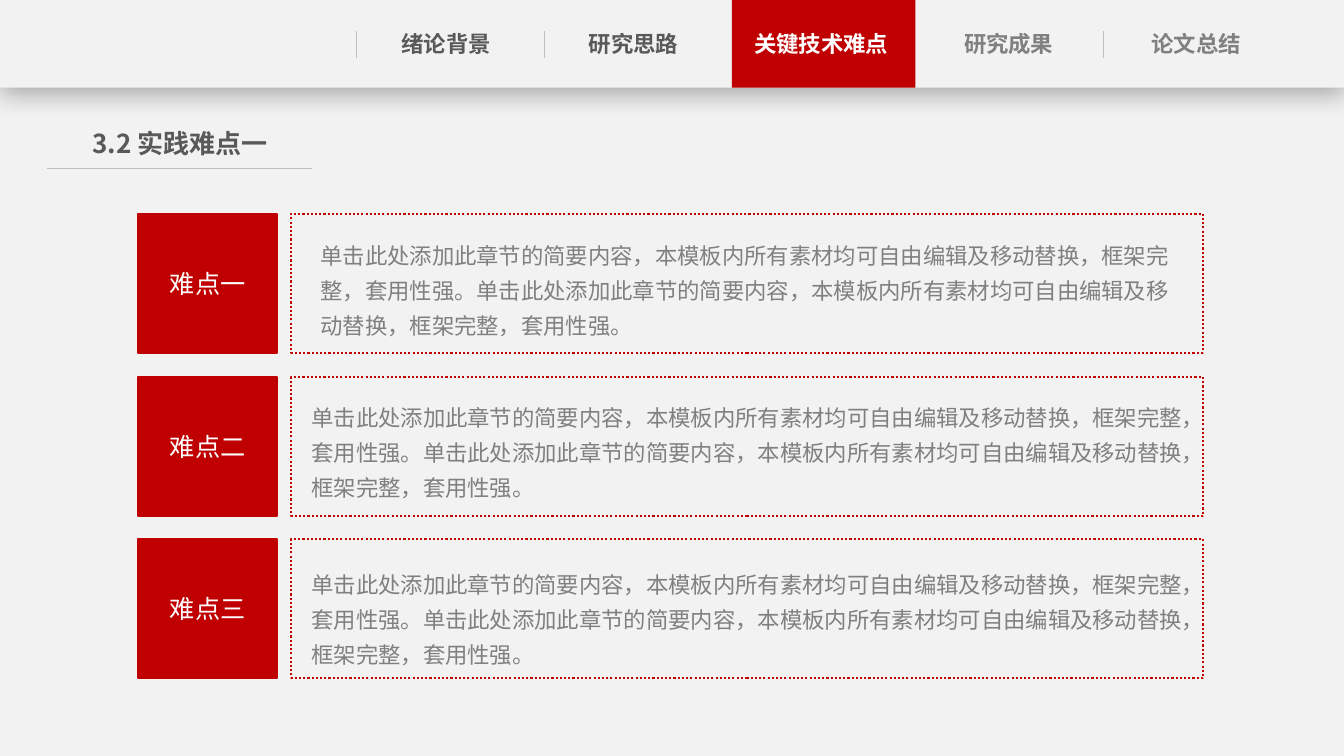
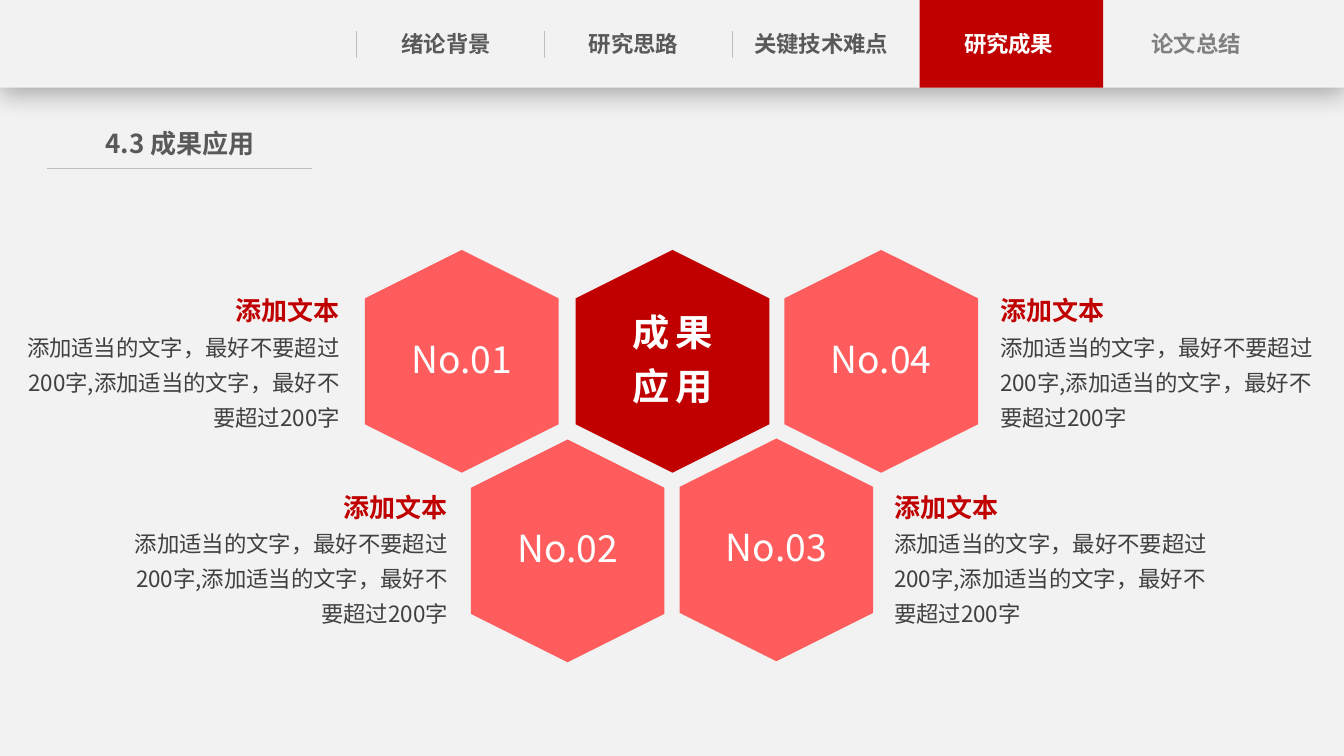
from lxml import etree
from pptx import Presentation
from pptx.dml.color import RGBColor
from pptx.enum.dml import MSO_LINE
from pptx.enum.shapes import MSO_CONNECTOR, MSO_SHAPE
from pptx.enum.text import MSO_ANCHOR, MSO_AUTO_SIZE, PP_ALIGN
from pptx.oxml.ns import qn
from pptx.util import Inches, Pt

RECTANGLE = MSO_SHAPE.RECTANGLE
STRAIGHT = MSO_CONNECTOR.STRAIGHT
DOTTED = MSO_LINE.ROUND_DOT
TOP, MIDDLE = MSO_ANCHOR.TOP, MSO_ANCHOR.MIDDLE
LEFT, CENTER, RIGHT = PP_ALIGN.LEFT, PP_ALIGN.CENTER, PP_ALIGN.RIGHT
FIXED = MSO_AUTO_SIZE.NONE

FONT = "Noto Sans CJK SC"
PAPER = RGBColor(0xF2, 0xF2, 0xF2)
WHITE = RGBColor(0xFF, 0xFF, 0xFF)
RED = RGBColor(0xC0, 0x00, 0x00)
CORAL = RGBColor(0xFF, 0x5D, 0x5D)
RULE_GRAY = RGBColor(0xBF, 0xBF, 0xBF)
MID_GRAY = RGBColor(0x80, 0x80, 0x80)
DARK_GRAY = RGBColor(0x59, 0x59, 0x59)
INK = RGBColor(0x40, 0x40, 0x40)

SLIDE_WIDTH, SLIDE_HEIGHT = 13.33, 7.5
HEADER_HEIGHT = 0.87
CHAPTERS = ["绪论背景", "研究思路", "关键技术难点", "研究成果", "论文总结"]
CHAPTER_EDGES = [3.53, 5.4, 7.26, 9.12, 10.94]
CHAPTER_PITCH = 1.86

BODY = {"size": Pt(16), "bold": False}
CHAPTER = {"size": Pt(16), "bold": True}
HEADING = {"size": Pt(18.6), "bold": True}
TAG = {"size": Pt(18), "bold": False}
HEX_NUMBER = {"size": Pt(26.6), "bold": False}
HEX_CORE = {"size": Pt(26.6), "bold": True}

PLAIN_FRAME = {"word_wrap": True, "auto_size": FIXED, "vertical_anchor": TOP}
MIDDLE_FRAME = PLAIN_FRAME | {"vertical_anchor": MIDDLE}
SLIM_FRAME = MIDDLE_FRAME | {"margin_left": 0, "margin_right": 0,
                             "margin_top": Inches(0.05), "margin_bottom": Inches(0.05)}
HEX_FRAME = SLIM_FRAME | {"margin_top": 0, "margin_bottom": 0}

CENTERED = {"alignment": CENTER}
LOOSE = {"alignment": LEFT, "line_spacing": 1.3}
HEX_LINES = {"alignment": CENTER, "line_spacing": 0.9, "space_after": Pt(9.3)}

DIFFICULTY_TEXT = "单击此处添加此章节的简要内容，本模板内所有素材均可自由编辑及移动替换，框架完整，套用性强。" * 2
# Label, row top, then text left, top and width
DIFFICULTIES = [
    ("难点一", 2.12, 3.08, 2.27, 8.74),
    ("难点二", 3.74, 2.99, 3.88, 8.85),
    ("难点三", 5.35, 2.99, 5.54, 8.85),
]

RESULT_TITLE = "添加文本"
RESULT_TEXT = "添加适当的文字，最好不要超过200字,添加适当的文字，最好不要超过200字"
# Number, hexagon left and top, caption left and top, caption alignment
RESULTS = [
    ("No.01", 3.62, 2.48, 0.16, 2.79, RIGHT),
    ("No.02", 4.67, 4.36, 1.23, 4.74, RIGHT),
    ("No.03", 6.74, 4.35, 8.77, 4.74, LEFT),
    ("No.04", 7.78, 2.48, 9.82, 2.79, LEFT),
]


def set_all(target, values):
    for name, value in values.items():
        setattr(target, name, value)


def write(shape, lines, frame_format, paragraph_format):
    """Write (text, colour, font format) lines, one paragraph each, and return the runs."""
    frame = shape.text_frame
    set_all(frame, frame_format)
    runs = []
    for index, (text, color, font_format) in enumerate(lines):
        paragraph = frame.add_paragraph() if index else frame.paragraphs[0]
        set_all(paragraph, paragraph_format)
        run = paragraph.add_run()
        run.text = text
        set_all(run.font, font_format | {"name": FONT})
        run.font.color.rgb = color
        east_asian = etree.SubElement(run._r.get_or_add_rPr(), qn("a:ea"))
        east_asian.set("typeface", FONT)
        runs.append(run)
    return runs


def paint(shape, fill=None, line=None, dash=None):
    shape.shadow.inherit = False
    if fill is None:
        shape.fill.background()
    else:
        shape.fill.solid()
        shape.fill.fore_color.rgb = fill
    if line is None:
        shape.line.fill.background()
    else:
        shape.line.color.rgb = line
        shape.line.width = Pt(1.5)
        if dash is not None:
            shape.line.dash_style = dash
    return shape


def add_box(slide, left, top, width, height, **colors):
    box = slide.shapes.add_shape(RECTANGLE, *map(Inches, (left, top, width, height)))
    return paint(box, **colors)


def add_text(slide, left, top, width, height, *content):
    box = slide.shapes.add_textbox(*map(Inches, (left, top, width, height)))
    write(box, *content)


def add_rule(slide, x1, y1, x2, y2):
    rule = slide.shapes.add_connector(STRAIGHT, *map(Inches, (x1, y1, x2, y2)))
    rule.line.color.rgb = RULE_GRAY
    rule.line.width = Pt(0.5)
    etree.SubElement(rule._element.spPr, qn("a:effectLst"))


def add_hexagon(slide, left, top, color, width=1.92, height=2.21):
    shoulder = 0.48
    middle, right = left + width / 2, left + width
    upper, lower, bottom = top + shoulder, top + height - shoulder, top + height
    corners = [(middle, top), (right, upper), (right, lower),
               (middle, bottom), (left, lower), (left, upper)]
    points = [(Inches(x), Inches(y)) for x, y in corners]
    builder = slide.shapes.build_freeform(*points[0])
    builder.add_line_segments(points[1:], close=True)
    return paint(builder.convert_to_shape(), fill=color)


def drop_shadow(shape):
    effects = shape._element.spPr.find(qn("a:effectLst"))
    shadow = etree.SubElement(effects, qn("a:outerShdw"), blurRad=str(Pt(18)),
                              dist=str(Pt(4)), dir="5400000", algn="t", rotWithShape="0")
    black = etree.SubElement(shadow, qn("a:srgbClr"), val="000000")
    etree.SubElement(black, qn("a:alpha"), val="29000")


def add_header(slide, active):
    """Draw the chapter band with the active chapter on red."""
    drop_shadow(add_box(slide, 0, 0, SLIDE_WIDTH, HEADER_HEIGHT, fill=PAPER))
    add_box(slide, CHAPTER_EDGES[active], 0, 1.82, HEADER_HEIGHT, fill=RED)
    for index, (chapter, edge) in enumerate(zip(CHAPTERS, CHAPTER_EDGES)):
        if index not in (active, active + 1):
            add_rule(slide, edge, 0.31, edge, 0.58)
        color = WHITE if index == active else DARK_GRAY if index < active else MID_GRAY
        add_text(slide, 3.69 + index * CHAPTER_PITCH, 0.24, 1.47, 0.38,
                 [(chapter, color, CHAPTER)], SLIM_FRAME, CENTERED)


def add_page(deck, active, heading):
    slide = deck.slides.add_slide(deck.slide_layouts.get_by_name("Title Only"))
    add_header(slide, active)
    title = slide.shapes.title
    set_all(title, {"left": Inches(0.75), "top": Inches(1.21),
                    "width": Inches(2.07), "height": Inches(0.42)})
    write(title, [(heading, DARK_GRAY, HEADING)], SLIM_FRAME, CENTERED)
    add_rule(slide, 0.47, 1.67, 3.09, 1.67)
    return slide


def add_difficulty(slide, label, row_top, text_left, text_top, text_width):
    side = 1.38
    tag = add_box(slide, 1.37, row_top, side, side, fill=RED, line=RED)
    write(tag, [(label, WHITE, TAG)], MIDDLE_FRAME, CENTERED)
    add_box(slide, 2.89, row_top, 9.04, side, line=RED, dash=DOTTED)
    add_text(slide, text_left, text_top, text_width, 1.15,
             [(DIFFICULTY_TEXT, MID_GRAY, BODY)], PLAIN_FRAME, LOOSE)


def add_result(slide, number, hex_left, hex_top, left, top, alignment):
    hexagon = add_hexagon(slide, hex_left, hex_top, CORAL)
    write(hexagon, [(number, WHITE, HEX_NUMBER)], HEX_FRAME, HEX_LINES)
    caption = [(RESULT_TITLE, RED, HEADING), (RESULT_TEXT, INK, BODY)]
    add_text(slide, left, top, 3.31, 1.52, caption, MIDDLE_FRAME,
             LOOSE | {"alignment": alignment})


def add_result_core(slide):
    core = add_hexagon(slide, 5.71, 2.48, RED)
    lines = [(text, WHITE, HEX_CORE) for text in ("成果", "应用")]
    for run in write(core, lines, HEX_FRAME, HEX_LINES):
        run._r.get_or_add_rPr().set("spc", "400")


def main():
    deck = Presentation()
    deck.slide_width, deck.slide_height = Inches(SLIDE_WIDTH), Inches(SLIDE_HEIGHT)
    backdrop = deck.slide_master.background.fill
    backdrop.solid()
    backdrop.fore_color.rgb = PAPER

    difficulties = add_page(deck, 2, "3.2 实践难点一")
    for difficulty in DIFFICULTIES:
        add_difficulty(difficulties, *difficulty)

    results = add_page(deck, 3, "4.3 成果应用")
    for result in RESULTS:
        add_result(results, *result)
    add_result_core(results)

    deck.save("out.pptx")


if __name__ == "__main__":
    main()
